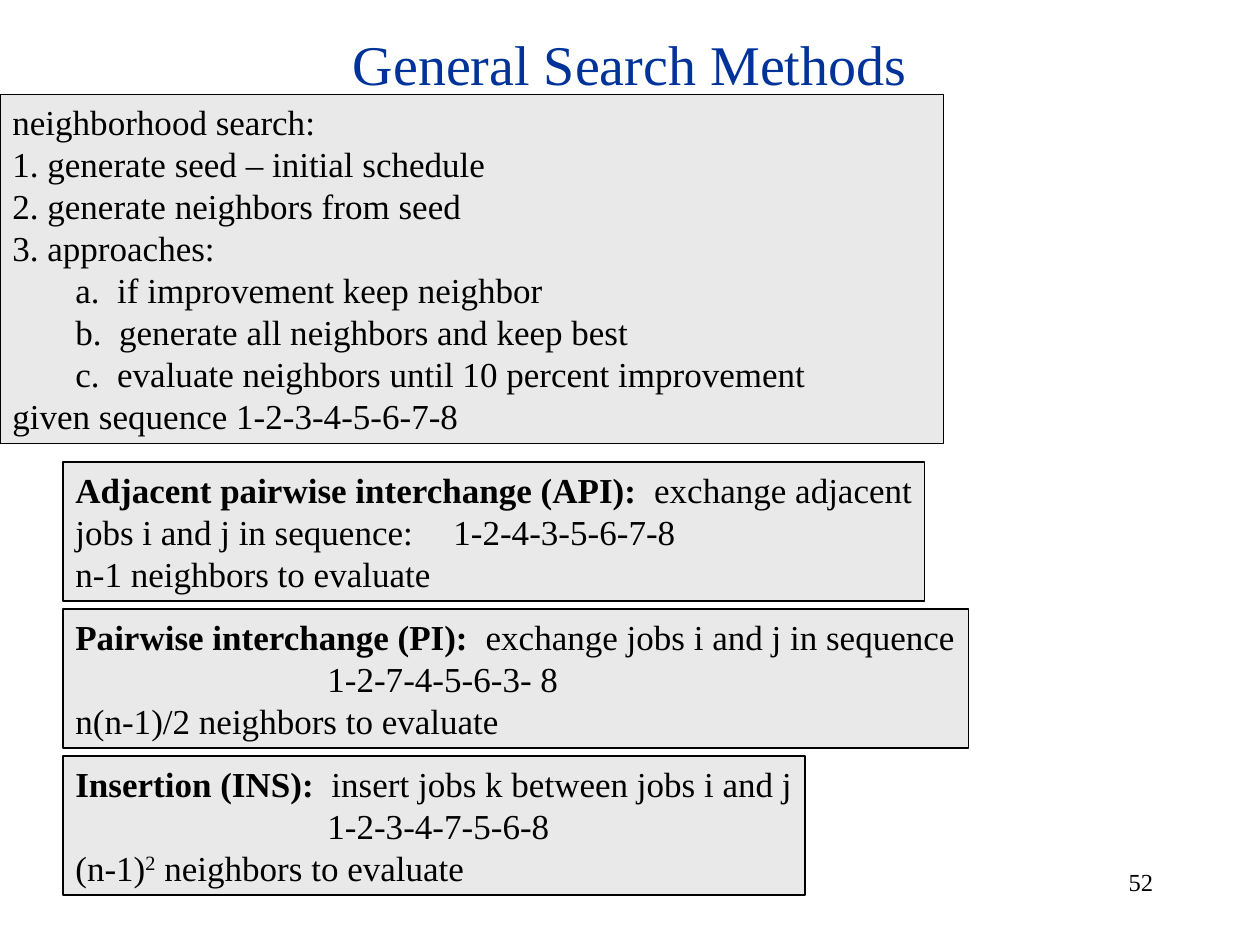
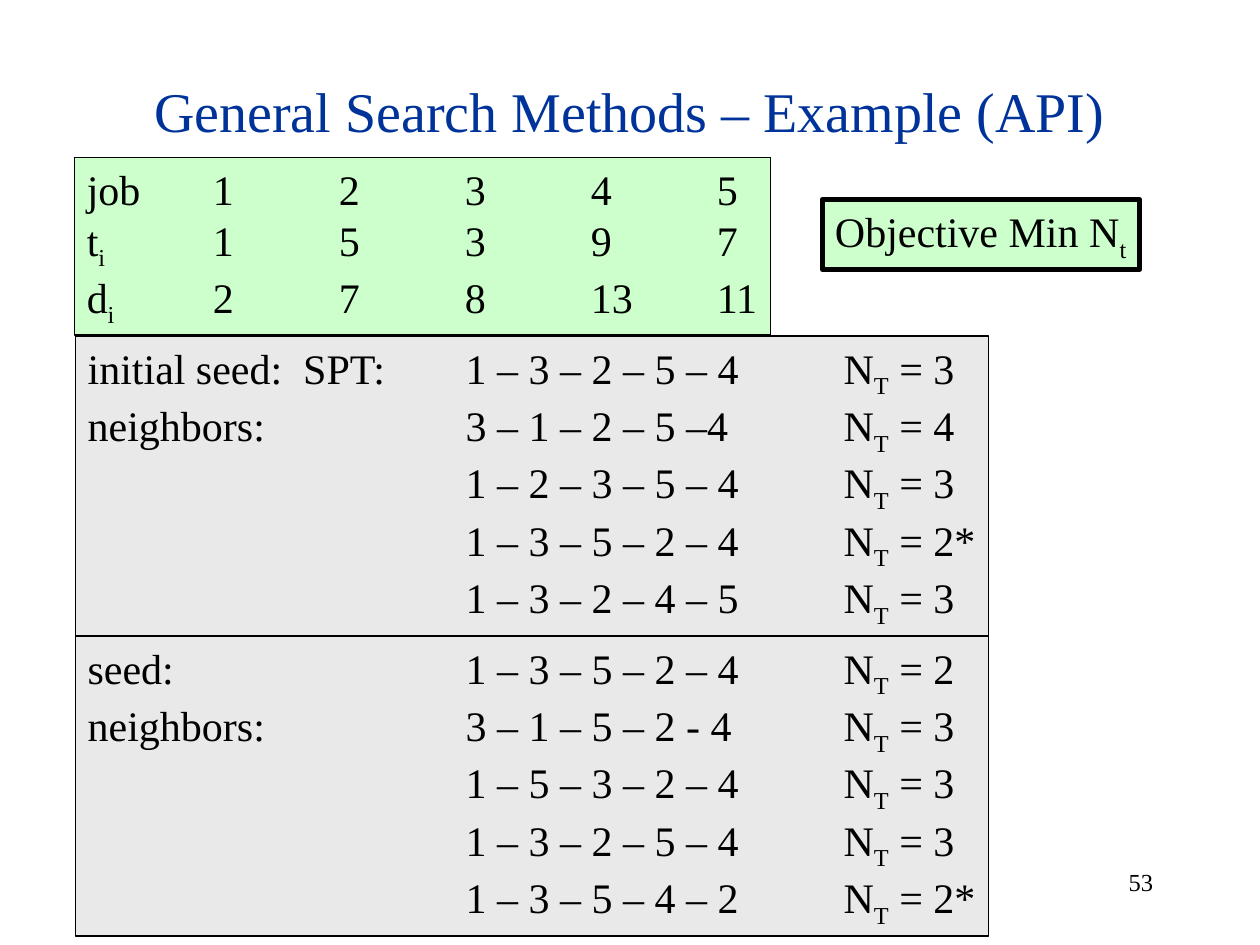
import dataclasses
import typing

import lxml.etree
import pptx
import pptx.dml.color
import pptx.enum.shapes
import pptx.enum.text
import pptx.oxml.ns
import pptx.presentation
import pptx.shapes.autoshape
import pptx.slide
import pptx.util

Pt = pptx.util.Pt
Align = pptx.enum.text.PP_ALIGN
Anchor = pptx.enum.text.MSO_ANCHOR

FONT = "Times New Roman"
COLORS = {
    "title": "003399",
    "text": "000000",
    "line": "000000",
    "method": "E9E9E9",
    "data": "CCFFCC",
}
TITLE_SIZE, NUMBER_SIZE, METHOD_SIZE, EXAMPLE_SIZE = 32, 14, 20, 24
SUBSCRIPT, SUPERSCRIPT = -25, 30  # percent of the font size
INCH = 72


class Run(typing.NamedTuple):
    text: str
    bold: bool = False
    baseline: int = 0


class Line(typing.NamedTuple):
    runs: tuple[Run, ...]
    indent: float = 0


class Area(typing.NamedTuple):
    left: float
    top: float
    width: float
    height: float


@dataclasses.dataclass(frozen=True)
class Box:
    area: Area
    lines: list[Line]
    size: float
    fill: str = "method"
    border: float = 0.75
    tabs: tuple[float, ...] = ()


def color(name: str) -> pptx.dml.color.RGBColor:
    return pptx.dml.color.RGBColor.from_string(COLORS[name])


def plain(text: str, indent: float = 0) -> Line:
    return Line((Run(text),), indent)


def headed(heading: str, text: str) -> Line:
    """A bold heading followed by plain text."""
    return Line((Run(heading, bold=True), Run(text)))


def job_row(symbol: str, values: tuple[int, ...]) -> Line:
    """A row of job data, its symbol indexed by i."""
    cells = "".join(f"\t{value}" for value in values)
    return Line((Run(symbol), Run("i", baseline=SUBSCRIPT), Run(cells)))


def sequence_row(label: str, sequence: str, late_jobs: str) -> Line:
    """A label, a job sequence and its number of tardy jobs."""
    return Line((
        Run(f"{label}\t{sequence}\tN"),
        Run("T", baseline=SUBSCRIPT),
        Run(f" = {late_jobs}"),
    ))


def set_tabs(paragraph: typing.Any, tabs: tuple[float, ...]) -> None:
    properties = paragraph._p.get_or_add_pPr()
    tab_list = lxml.etree.SubElement(properties, pptx.oxml.ns.qn("a:tabLst"))
    for position in tabs:
        tab = lxml.etree.SubElement(tab_list, pptx.oxml.ns.qn("a:tab"))
        tab.set("pos", str(Pt(position)))
        tab.set("algn", "l")


def write(
    shape: pptx.shapes.autoshape.Shape,
    lines: list[Line],
    size: float,
    font_color: str = "text",
    alignment: Align = Align.LEFT,
    anchor: Anchor = Anchor.TOP,
    tabs: tuple[float, ...] = (),
) -> None:
    frame = shape.text_frame
    frame.word_wrap = True
    frame.vertical_anchor = anchor
    for index, line in enumerate(lines):
        paragraph = frame.add_paragraph() if index else frame.paragraphs[0]
        paragraph.alignment = alignment
        if line.indent:
            paragraph._p.get_or_add_pPr().set("marL", str(Pt(line.indent)))
        if tabs:
            set_tabs(paragraph, tabs)
        for part in line.runs:
            run = paragraph.add_run()
            run.text = part.text
            run.font.name = FONT
            run.font.size = Pt(size)
            run.font.bold = part.bold
            run.font.color.rgb = color(font_color)
            if part.baseline:
                run.font._element.set("baseline", str(part.baseline * 1000))


def add_box(slide: pptx.slide.Slide, box: Box) -> None:
    shape = slide.shapes.add_shape(
        pptx.enum.shapes.MSO_SHAPE.RECTANGLE, *map(Pt, box.area))
    shape.shadow.inherit = False
    shape.fill.solid()
    shape.fill.fore_color.rgb = color(box.fill)
    shape.line.color.rgb = color("line")
    shape.line.width = Pt(box.border)
    shape.text_frame.margin_right = 0
    write(shape, box.lines, box.size, tabs=box.tabs)


def add_slide(
    presentation: pptx.presentation.Presentation,
    title: str,
    title_top: float,
    title_height: float,
    number: int,
    boxes: list[Box],
) -> None:
    slide = presentation.slides.add_slide(presentation.slide_layouts[6])
    number_box = slide.shapes.add_textbox(Pt(516), Pt(492), Pt(150), Pt(36))
    write(number_box, [plain(str(number))], NUMBER_SIZE, alignment=Align.RIGHT)
    title_box = slide.shapes.add_textbox(
        Pt(54), Pt(title_top), Pt(612), Pt(title_height))
    write(title_box, [plain(title)], TITLE_SIZE, "title", Align.CENTER, Anchor.MIDDLE)
    for box in boxes:
        add_box(slide, box)


def method_boxes() -> list[Box]:
    steps = [
        plain("neighborhood search:"),
        plain("1. generate seed – initial schedule"),
        plain("2. generate neighbors from seed"),
        plain("3. approaches:"),
        plain("a.  if improvement keep neighbor", indent=36),
        plain("b.  generate all neighbors and keep best", indent=36),
        plain("c.  evaluate neighbors until 10 percent improvement", indent=36),
        plain("given sequence 1-2-3-4-5-6-7-8"),
    ]
    methods = [
        (492.5, 3 * INCH, [
            headed("Adjacent pairwise interchange (API):", "  exchange adjacent"),
            plain("jobs i and j in sequence:\t1-2-4-3-5-6-7-8"),
            plain("n-1 neighbors to evaluate"),
        ]),
        (517.5, 2 * INCH, [
            headed("Pairwise interchange (PI):", "  exchange jobs i and j in sequence"),
            plain("\t1-2-7-4-5-6-3- 8"),
            plain("n(n-1)/2 neighbors to evaluate"),
        ]),
        (424, 2 * INCH, [
            headed("Insertion (INS):", "  insert jobs k between jobs i and j"),
            plain("\t1-2-3-4-7-5-6-8"),
            Line((Run("(n-1)"), Run("2", baseline=SUPERSCRIPT),
                  Run(" neighbors to evaluate"))),
        ]),
    ]
    boxes = [Box(Area(0, 54, 539, 199.5), steps, METHOD_SIZE)]
    for index, (width, tab, lines) in enumerate(methods):
        area = Area(36, 264 + 84 * index, width, 79.5)
        boxes.append(Box(area, lines, METHOD_SIZE, tabs=(tab,)))
    return boxes


def example_boxes() -> list[Box]:
    jobs = [
        plain("job\t1\t2\t3\t4\t5"),
        job_row("t", (1, 5, 3, 9, 7)),
        job_row("d", (2, 7, 8, 13, 11)),
    ]
    searches = [
        [
            sequence_row("initial seed:  SPT:", "1 – 3 – 2 – 5 – 4", "3"),
            sequence_row("neighbors:", "3 – 1 – 2 – 5 –4", "4"),
            sequence_row("", "1 – 2 – 3 – 5 – 4", "3"),
            sequence_row("", "1 – 3 – 5 – 2 – 4", "2*"),
            sequence_row("", "1 – 3 – 2 – 4 – 5", "3"),
        ],
        [
            sequence_row("seed:", "1 – 3 – 5 – 2 – 4", "2"),
            sequence_row("neighbors:", "3 – 1 – 5 – 2 - 4", "3"),
            sequence_row("", "1 – 5 – 3 – 2 – 4", "3"),
            sequence_row("", "1 – 3 – 2 – 5 – 4", "3"),
            sequence_row("", "1 – 3 – 5 – 4 – 2", "2*"),
        ],
    ]
    objective = [Line((Run("Objective Min N"), Run("t", baseline=SUBSCRIPT)))]
    job_tabs = tuple(INCH * column for column in range(1, 6))
    search_tabs = (3 * INCH, 6 * INCH)
    search_height = 171.5
    boxes = [
        Box(Area(42.5, 90, 398, 101.5), jobs, EXAMPLE_SIZE, "data", tabs=job_tabs),
        Box(Area(470, 114, 181, 40), objective, EXAMPLE_SIZE, "data", border=3),
    ]
    for index, lines in enumerate(searches):
        area = Area(43, 192 + search_height * index, 522, search_height)
        boxes.append(Box(area, lines, EXAMPLE_SIZE, tabs=search_tabs))
    return boxes


def main() -> None:
    presentation = pptx.Presentation()
    presentation.slide_width = Pt(720)
    presentation.slide_height = Pt(540)
    add_slide(presentation, "General Search Methods", 18, 36, 52, method_boxes())
    add_slide(presentation, "General Search Methods – Example (API)", 36, 54, 53,
              example_boxes())
    presentation.save("out.pptx")


if __name__ == "__main__":
    main()
